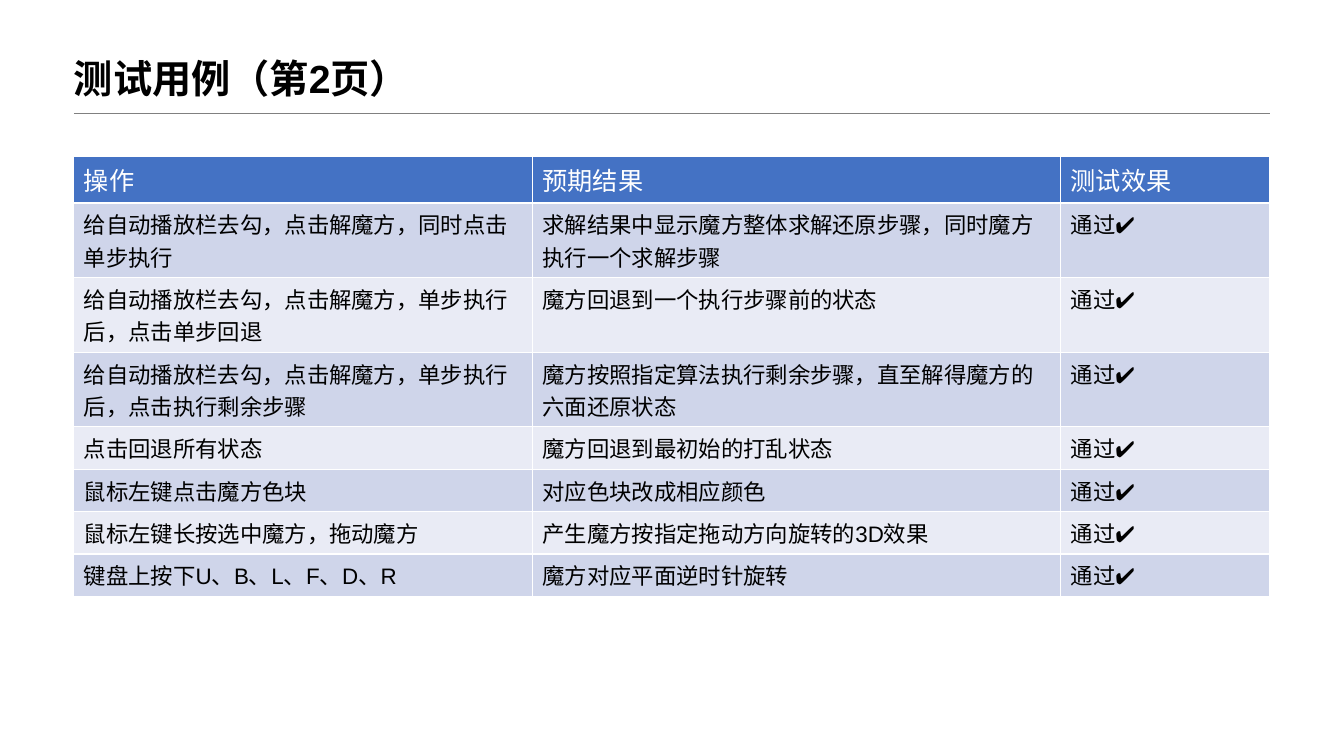
from dataclasses import dataclass
from lxml import etree
from pptx import Presentation
from pptx import util as u
from pptx.dml import color
from pptx.enum import lang, shapes, text
from pptx.oxml import ns


@dataclass(frozen=True)
class Theme:
    font: str = "Arial"
    east: str = "Noto Sans CJK SC"
    ink: str = "000000"
    pale: str = "FFFFFF"
    rule: str = "808080"
    head: str = "4472C4"
    bands: tuple = ("CFD5EA", "E9EBF5")
    title: int = 28
    label: int = 18
    body: int = 16


@dataclass(frozen=True)
class Box:
    left: float
    top: float
    width: float
    height: float


THEME = Theme()
PASS = "通过✔"
LABELS = ("操作", "预期结果", "测试效果")
CASES = (
    ("给自动播放栏去勾，点击解魔方，同时点击单步执行",
     "求解结果中显示魔方整体求解还原步骤，同时魔方执行一个求解步骤"),
    ("给自动播放栏去勾，点击解魔方，单步执行后，点击单步回退",
     "魔方回退到一个执行步骤前的状态"),
    ("给自动播放栏去勾，点击解魔方，单步执行后，点击执行剩余步骤",
     "魔方按照指定算法执行剩余步骤，直至解得魔方的六面还原状态"),
    ("点击回退所有状态", "魔方回退到最初始的打乱状态"),
    ("鼠标左键点击魔方色块", "对应色块改成相应颜色"),
    ("鼠标左键长按选中魔方，拖动魔方", "产生魔方按指定拖动方向旋转的3D效果"),
    ("键盘上按下U、B、L、F、D、R", "魔方对应平面逆时针旋转"),
)
WIDTHS = (11.56, 13.31, 5.26)


def tint(code):
    return color.RGBColor.from_string(code)


def write(para, words, size, ink, east, bold=False):
    run = para.add_run()
    run.text = words
    font = run.font
    font.name = THEME.font
    font.size = u.Pt(size)
    font.bold = bold
    font.color.rgb = tint(ink)
    font.language_id = lang.MSO_LANGUAGE_ID.SIMPLIFIED_CHINESE
    latin = run._r.rPr.find(ns.qn("a:latin"))
    latin.addnext(etree.Element(ns.qn("a:ea"), typeface=east))


def add_head(slide, box, words):
    inset = 0.25
    title = slide.shapes.title
    title.left, title.top = u.Cm(box.left - inset), u.Cm(box.top)
    title.width, title.height = u.Cm(box.width - 0.3), u.Cm(box.height - 0.15)
    frame = title.text_frame
    frame.word_wrap = True
    frame.auto_size = text.MSO_AUTO_SIZE.NONE
    frame.vertical_anchor = text.MSO_ANCHOR.BOTTOM
    para = frame.paragraphs[0]
    para.alignment = text.PP_ALIGN.LEFT
    para.line_spacing = 0.9
    write(para, words, THEME.title, THEME.ink, THEME.font, True)
    base = u.Cm(box.top + box.height)
    rule = slide.shapes.add_connector(
        shapes.MSO_CONNECTOR.STRAIGHT,
        u.Cm(box.left), base, u.Cm(box.left + box.width), base)
    rule.line.color.rgb = tint(THEME.rule)
    rule.line.width = u.Pt(0.25)
    etree.SubElement(rule._element.spPr, ns.qn("a:effectLst"))


def add_cases(slide, box):
    rows = [LABELS] + [(*case, PASS) for case in CASES]
    table = slide.shapes.add_table(
        len(rows), len(LABELS), u.Cm(box.left), u.Cm(box.top),
        u.Cm(box.width), u.Cm(box.height)).table
    for col, width in zip(table.columns, WIDTHS):
        col.width = u.Cm(width)
    for i, row in enumerate(rows):
        if i == 0:
            fill, size, ink = THEME.head, THEME.label, THEME.pale
        else:
            fill, size, ink = THEME.bands[(i - 1) % 2], THEME.body, THEME.ink
        for j, words in enumerate(row):
            cell = table.cell(i, j)
            cell.fill.solid()
            cell.fill.fore_color.rgb = tint(fill)
            write(cell.text_frame.paragraphs[0], words, size, ink, THEME.east)


def main():
    deck = Presentation()
    deck.slide_width, deck.slide_height = u.Cm(33.87), u.Cm(19.05)
    slide = deck.slides.add_slide(deck.slide_layouts[5])
    add_head(slide, Box(1.86, 0.97, 30.15, 1.88), "测试用例（第2页）")
    add_cases(slide, Box(1.86, 3.94, sum(WIDTHS), 8.16))
    deck.save("out.pptx")


if __name__ == "__main__":
    main()
